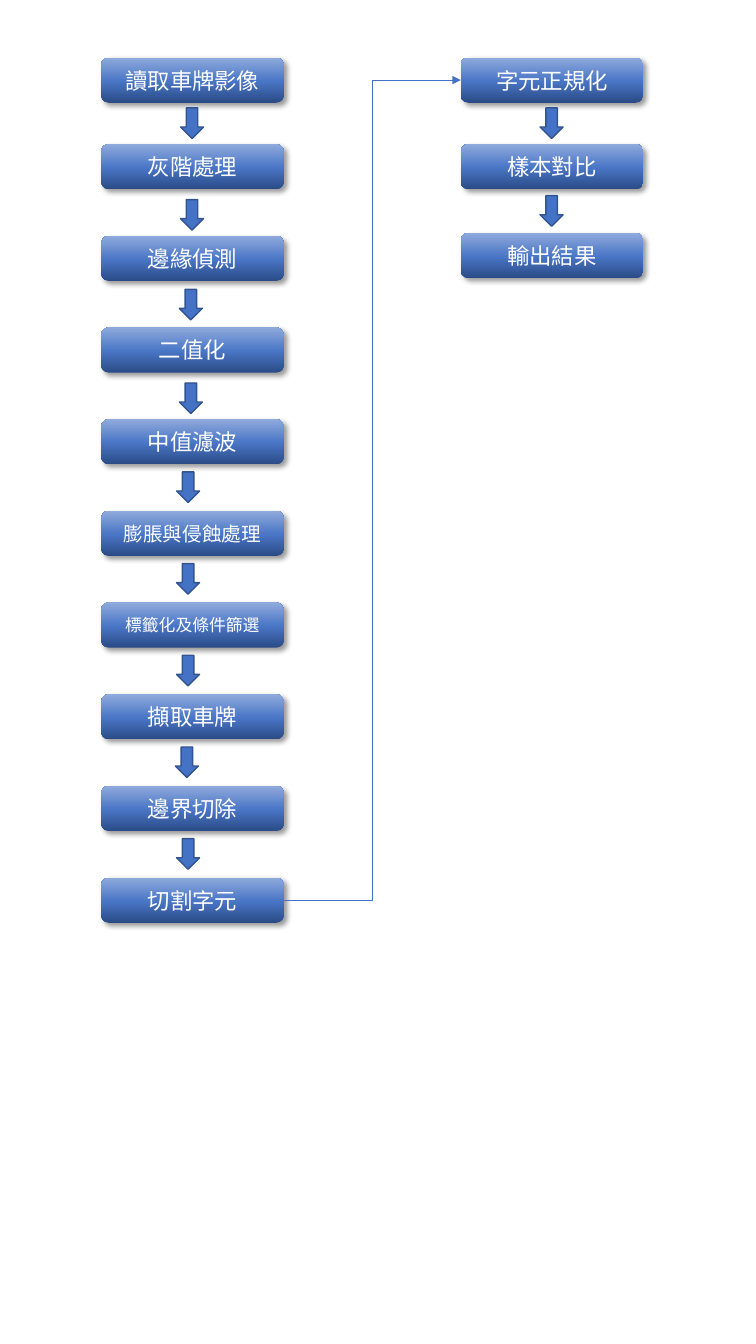
"""Build a flowchart slide of licence plate recognition steps."""
from copy import deepcopy
from dataclasses import dataclass

from lxml.etree import SubElement
from pptx import Presentation
from pptx.dml.color import RGBColor
from pptx.enum.shapes import MSO_CONNECTOR, MSO_SHAPE
from pptx.enum.text import MSO_ANCHOR, PP_ALIGN
from pptx.oxml.ns import qn
from pptx.util import Cm, Pt

COLORS = {
    "gradient_low": "2A4B86", "gradient_mid": "4A76C6", "gradient_high": "8FAADC",
    "arrow": "4472C4", "arrow_edge": "325491", "label": "FFFFFF", "shadow": "000000",
}
GRADIENT = [(0, "gradient_low"), (0.48, "gradient_mid"), (1, "gradient_high")]
FONT = "Noto Sans CJK SC"
STEP_WIDTH, STEP_HEIGHT = 4.6, 1.14
ARROW_WIDTH, ARROW_HEIGHT = 0.58, 0.77
FIRST_PITCH = 2.18
LEFT_SITE, RIGHT_SITE = 1, 3


@dataclass
class Step:
    label: str
    arrow_left: float = 0
    arrow_gap: float = 0
    size: int = 16


PLATE_STEPS = [
    Step("讀取車牌影像", 2, 0.13),
    Step("灰階處理", 2, 0.26),
    Step("邊緣偵測", 1.97, 0.21),
    Step("二值化", 1.97, 0.26),
    Step("中值濾波", 1.9, 0.19),
    Step("膨脹與侵蝕處理", 1.9, 0.19, size=14),
    Step("標籤化及條件篩選", 1.9, 0.19, size=12),
    Step("擷取車牌", 1.87, 0.19),
    Step("邊界切除", 1.9, 0.19),
    Step("切割字元"),
]
CHARACTER_STEPS = [
    Step("字元正規化", 2, 0.13),
    Step("樣本對比", 2, 0.16),
    Step("輸出結果"),
]


def rgb(name):
    """Return the named palette colour."""
    return RGBColor.from_string(COLORS[name])


def write_text(shape, text, *, size, color, font=FONT, align=PP_ALIGN.CENTER):
    """Write one formatted line of text, centred vertically, in a shape."""
    frame = shape.text_frame
    frame.vertical_anchor = MSO_ANCHOR.MIDDLE
    paragraph = frame.paragraphs[0]
    paragraph.alignment = align
    run = paragraph.add_run()
    run.text = text
    run.font.size = Pt(size)
    run.font.color.rgb = rgb(color)
    run.font.name = font
    SubElement(run.font._element, qn("a:ea"), typeface=font)


def fill_gradient(shape):
    """Fill a shape with the three-stop gradient, rising from the bottom."""
    shape.fill.gradient()
    shape.fill.gradient_angle = 90
    stop_list = shape._element.spPr.find(".//" + qn("a:gsLst"))
    stop_list.append(deepcopy(stop_list[0]))
    for stop, (position, color) in zip(shape.fill.gradient_stops, GRADIENT):
        stop.position = position
        stop.color.rgb = rgb(color)


def cast_shadow(shape):
    """Give a shape a soft shadow to its lower right."""
    shape.shadow.inherit = False
    effects = shape._element.spPr.find(qn("a:effectLst"))
    shadow = SubElement(effects, qn("a:outerShdw"), blurRad=str(Pt(4)), dist=str(Pt(3)),
                        dir="2700000", algn="tl", rotWithShape="0")
    tone = SubElement(shadow, qn("a:srgbClr"), val=COLORS["shadow"])
    SubElement(tone, qn("a:alpha"), val="40000")


def add_step(shapes, step, left, top):
    """Add the box of one step."""
    box = shapes.add_shape(MSO_SHAPE.FLOWCHART_ALTERNATE_PROCESS, Cm(left), Cm(top),
                           Cm(STEP_WIDTH), Cm(STEP_HEIGHT))
    fill_gradient(box)
    box.line.fill.background()
    cast_shadow(box)
    write_text(box, step.label, size=step.size, color="label")
    return box


def add_down_arrow(shapes, left, top):
    """Add the block arrow that leads to the next step."""
    arrow = shapes.add_shape(MSO_SHAPE.DOWN_ARROW, Cm(left), Cm(top),
                             Cm(ARROW_WIDTH), Cm(ARROW_HEIGHT))
    arrow.shadow.inherit = False
    arrow.fill.solid()
    arrow.fill.fore_color.rgb = rgb("arrow")
    arrow.line.color.rgb = rgb("arrow_edge")
    arrow.line.width = Pt(1)


def add_column(shapes, steps, *, left, top, pitch):
    """Add a column of steps joined by arrows and return its boxes."""
    boxes = []
    for index, step in enumerate(steps):
        step_top = top + (FIRST_PITCH + (index - 1) * pitch if index else 0)
        boxes.append(add_step(shapes, step, left, step_top))
        if step is not steps[-1]:
            add_down_arrow(shapes, left + step.arrow_left,
                           step_top + STEP_HEIGHT + step.arrow_gap)
    return boxes


def add_link(shapes, source, target):
    """Join the right side of one step to the left side of another."""
    link = shapes.add_connector(MSO_CONNECTOR.ELBOW, 0, 0, 0, 0)
    link.begin_connect(source, RIGHT_SITE)
    link.end_connect(target, LEFT_SITE)
    link.line.color.rgb = rgb("arrow")
    link.line.width = Pt(0.5)
    properties = link._element.spPr
    SubElement(properties.find(qn("a:ln")), qn("a:tailEnd"), type="triangle")
    SubElement(properties, qn("a:effectLst"))


def build_flowchart(slide, *, left, top):
    """Place both columns and the link between them from a top left corner."""
    shapes = slide.shapes.add_group_shape().shapes
    plate = add_column(shapes, PLATE_STEPS, left=left, top=top, pitch=2.31)
    characters = add_column(shapes, CHARACTER_STEPS, left=left + 9.06, top=top, pitch=2.24)
    add_link(shapes, plate[-1], characters[0])


def main():
    """Create the presentation and save it."""
    deck = Presentation()
    deck.slide_width, deck.slide_height = Cm(19.05), Cm(33.86)
    slide = deck.slides.add_slide(deck.slide_layouts[6])
    build_flowchart(slide, left=2.55, top=1.45)
    deck.save("out.pptx")


main()
